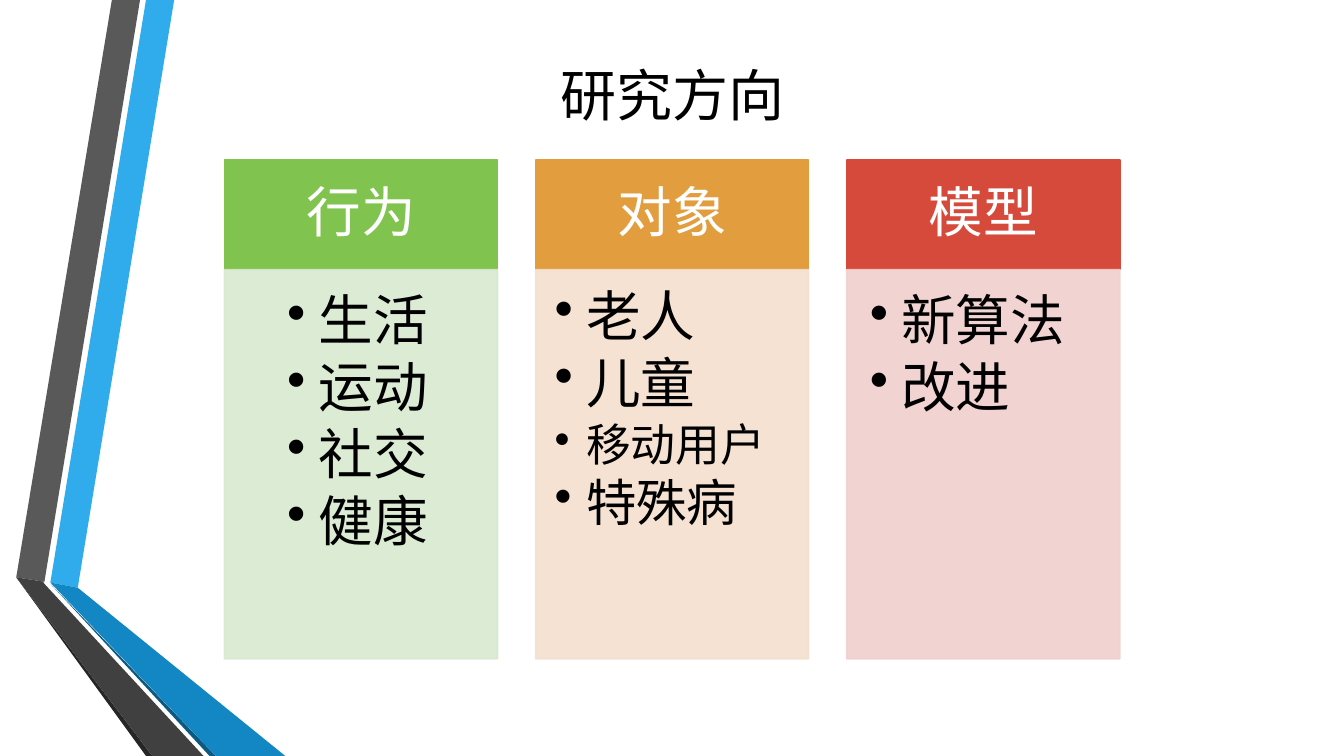
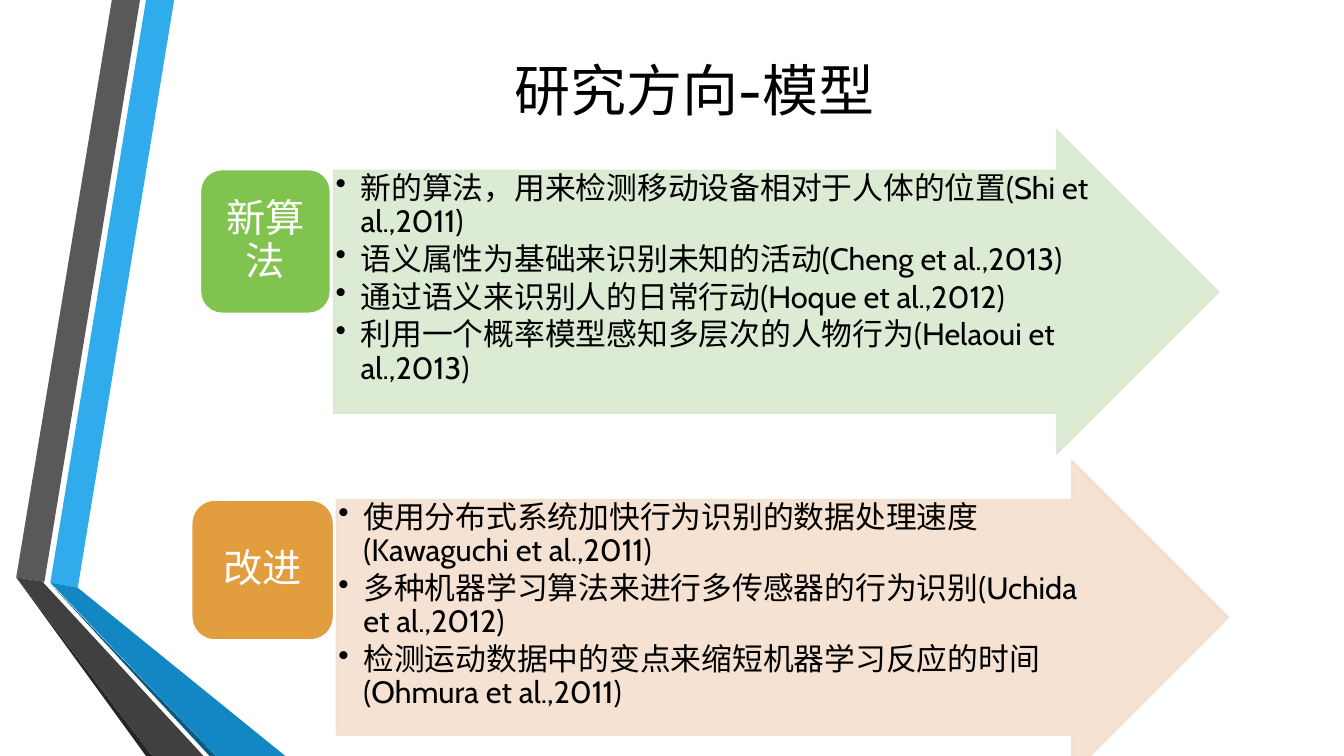
from dataclasses import dataclass

from lxml import etree
from pptx import Presentation
from pptx.dml.color import RGBColor
from pptx.enum.shapes import MSO_SHAPE
from pptx.enum.text import MSO_ANCHOR, PP_ALIGN
from pptx.oxml.ns import qn
from pptx.presentation import Presentation as Deck
from pptx.shapes.autoshape import Shape
from pptx.slide import Slide, SlideLayout
from pptx.util import Cm, Pt

RECTANGLE = MSO_SHAPE.RECTANGLE
ROUNDED = MSO_SHAPE.ROUNDED_RECTANGLE
ARROW = MSO_SHAPE.RIGHT_ARROW
CENTER, LEFT = PP_ALIGN.CENTER, PP_ALIGN.LEFT
MIDDLE, TOP = MSO_ANCHOR.MIDDLE, MSO_ANCHOR.TOP

FONT = "Cabin"
BLACK, WHITE = "000000", "FFFFFF"
GREEN, ORANGE, RED = "80C34F", "E29D3E", "D64A3B"
PALE_GREEN, PALE_ORANGE, PALE_RED = "D8E9D0", "F4DFCE", "F0D0CE"
PALE_OPACITY = 90
TITLE_ONLY = 5

COLUMN_LEFT, COLUMN_PITCH, COLUMN_WIDTH = 5.66, 7.84, 6.88
HEADER_TOP, HEADER_HEIGHT = 4.04, 2.74
BODY_TOP, BODY_HEIGHT = 6.8, 9.8
WIDE_INSETS = (0.58, 0.58, 0.76, 0.86)
NARROW_INSETS = (0.48, 0.48, 0.63, 0.71)

Box = tuple[float, float, float, float]


@dataclass(frozen=True)
class Band:
    """A ribbon polygon with corners in centimetres."""

    color: str
    corners: tuple[tuple[float, float], ...]


@dataclass(frozen=True)
class Line:
    """One paragraph of text and its size in points."""

    text: str
    size: float


@dataclass(frozen=True)
class TextStyle:
    """How the text of a shape is set, with lengths in centimetres."""

    color: str
    insets: Box
    alignment: PP_ALIGN = CENTER
    anchor: MSO_ANCHOR = MIDDLE
    bullet_indent: float = 0


@dataclass(frozen=True)
class Column:
    """A headed column of bullets."""

    heading: str
    color: str
    pale: str
    lines: tuple[Line, ...]
    alignment: PP_ALIGN = LEFT
    insets: Box = WIDE_INSETS


@dataclass(frozen=True)
class Topic:
    """A rounded label followed by an arrow of bullets."""

    label: str
    color: str
    pale: str
    label_box: Box
    arrow_box: Box
    bullets: tuple[str, ...]


BANDS = (
    Band("30ACEC", ((1.27, 14.68), (1.96, 14.81), (4.39, 0), (3.68, 0))),
    Band("595959", ((3.53, 0), (2.82, 0), (0.41, 14.55), (1.12, 14.66))),
    Band("262626", ((0.41, 14.55), (3.68, 19.05), (3.84, 19.05))),
    Band("0C5A82", ((1.27, 14.71), (5.28, 19.05), (5.44, 19.05))),
    Band("1287C3", ((1.27, 14.68), (5.44, 19.05), (7.19, 19.05), (1.96, 14.81))),
    Band("404040", ((5.13, 19.05), (1.09, 14.68), (1.12, 14.66), (0.41, 14.55),
                    (3.84, 19.05))),
)

COLUMNS = (
    Column("行为", GREEN, PALE_GREEN,
           (Line("生活", 39), Line("运动", 39), Line("社交", 39), Line("健康", 39)), CENTER),
    Column("对象", ORANGE, PALE_ORANGE,
           (Line("老人", 39), Line("儿童", 39), Line("移动用户", 32), Line("特殊病", 36)),
           insets=NARROW_INSETS),
    Column("模型", RED, PALE_RED, (Line("新算法", 39), Line("改进", 39))),
)

TOPICS = (
    Topic("新算法", GREEN, PALE_GREEN, (5.05, 4.27, 3.28, 3.63), (8.41, 3.28, 22.3, 8.15), (
        "新的算法，用来检测移动设备相对于人体的位置(Shi et al.,2011)",
        "语义属性为基础来识别未知的活动(Cheng et al.,2013)",
        "通过语义来识别人的日常行动(Hoque et al.,2012)",
        "利用一个概率模型感知多层次的人物行为(Helaoui et al.,2013)",
    )),
    Topic("改进", ORANGE, PALE_ORANGE, (4.83, 12.6, 3.58, 3.53), (8.48, 11.61, 22.48, 7.9), (
        "使用分布式系统加快行为识别的数据处理速度(Kawaguchi et al.,2011)",
        "多种机器学习算法来进行多传感器的行为识别(Uchida et al.,2012)",
        "检测运动数据中的变点来缩短机器学习反应的时间(Ohmura et al.,2011)",
    )),
)

HEADER_STYLE = TextStyle(WHITE, (0.76, 0.43, 0.76, 0.43))
LABEL_STYLE = TextStyle(WHITE, (0.3, 0.15, 0.3, 0.15))
ARROW_STYLE = TextStyle(BLACK, (0.05, 0.05, 0.05, 0.05), LEFT, TOP, 0.63)


def rgb(color: str) -> RGBColor:
    """Turn a hex string into a colour."""
    return RGBColor.from_string(color)


def paint(shape: Shape, fill: str, line: str | None = None, opacity: int = 100) -> None:
    """Give a shape its fill, outline and opacity."""
    shape.shadow.inherit = False
    shape.fill.solid()
    shape.fill.fore_color.rgb = rgb(fill)
    if line is None:
        shape.line.fill.background()
    else:
        shape.line.color.rgb = rgb(line)
        shape.line.width = Pt(1.25)
    if opacity < 100:
        for color in shape.element.spPr.iter(qn("a:srgbClr")):
            etree.SubElement(color, qn("a:alpha")).set("val", str(opacity * 1000))


def write(shape: Shape, lines: tuple[Line, ...], style: TextStyle) -> None:
    """Fill a shape with styled paragraphs."""
    frame = shape.text_frame
    frame.word_wrap = True
    frame.vertical_anchor = style.anchor
    frame.margin_left, frame.margin_top, frame.margin_right, frame.margin_bottom = map(
        Cm, style.insets)
    frame.text = "\n".join(line.text for line in lines)
    for paragraph, line in zip(frame.paragraphs, lines):
        paragraph.alignment = style.alignment
        paragraph.line_spacing = 0.9
        paragraph.font.name = FONT
        paragraph.font.size = Pt(line.size)
        paragraph.font.color.rgb = rgb(style.color)
        if style.bullet_indent:
            paragraph.space_after = Pt(line.size * 0.15)
            properties = paragraph._p.get_or_add_pPr()
            properties.set("marL", str(Cm(style.bullet_indent)))
            properties.set("indent", str(-Cm(style.bullet_indent)))
            bullet = etree.Element(qn("a:buChar"), char="•")
            properties.insert_element_before(bullet, "a:tabLst", "a:defRPr", "a:extLst")


def add_block(slide: Slide, kind: MSO_SHAPE, box: Box, lines: tuple[Line, ...],
              style: TextStyle, fill: str, line: str, opacity: int = 100) -> Shape:
    """Add a painted shape with text."""
    shape = slide.shapes.add_shape(kind, *map(Cm, box))
    paint(shape, fill, line, opacity)
    write(shape, lines, style)
    return shape


def add_titled_slide(presentation: Deck, title: str, left: float, top: float) -> Slide:
    """Add a slide with its title in place."""
    slide = presentation.slides.add_slide(presentation.slide_layouts[TITLE_ONLY])
    placeholder = slide.shapes.title
    placeholder.left, placeholder.top = Cm(left), Cm(top)
    placeholder.width, placeholder.height = Cm(27.84), Cm(2.95)
    placeholder.text_frame.text = title
    placeholder.text_frame.vertical_anchor = MIDDLE
    paragraph = placeholder.text_frame.paragraphs[0]
    paragraph.alignment = CENTER
    paragraph.font.name = FONT
    paragraph.font.size = Pt(40)
    paragraph.font.color.rgb = rgb(BLACK)
    return slide


def add_bands(slide: Slide, layout: SlideLayout) -> None:
    """Draw the ribbons and move them to the shared layout."""
    for number, band in enumerate(BANDS, start=20):
        start, *others = [(Cm(x), Cm(y)) for x, y in band.corners]
        builder = slide.shapes.build_freeform(*start)
        builder.add_line_segments(others, close=True)
        shape = builder.convert_to_shape()
        paint(shape, band.color)
        shape.element.nvSpPr.cNvPr.set("id", str(number))
        layout.shapes.element.append(shape.element)


def add_column(slide: Slide, index: int, column: Column) -> None:
    """Draw one heading with its bullets below."""
    left = COLUMN_LEFT + index * COLUMN_PITCH
    add_block(slide, RECTANGLE, (left, HEADER_TOP, COLUMN_WIDTH, HEADER_HEIGHT),
              (Line(column.heading, 39),), HEADER_STYLE, column.color, column.color)
    add_block(slide, RECTANGLE, (left, BODY_TOP, COLUMN_WIDTH, BODY_HEIGHT), column.lines,
              TextStyle(BLACK, column.insets, column.alignment, TOP, 0.79),
              column.pale, column.pale, PALE_OPACITY)


def add_topic(slide: Slide, topic: Topic) -> None:
    """Draw one arrow of bullets with its label."""
    lines = tuple(Line(bullet, 22) for bullet in topic.bullets)
    arrow = add_block(slide, ARROW, topic.arrow_box, lines, ARROW_STYLE,
                      topic.pale, topic.pale, PALE_OPACITY)
    arrow.adjustments[0] = 0.75
    arrow.adjustments[1] = 0.5
    add_block(slide, ROUNDED, topic.label_box, (Line(topic.label, 28),), LABEL_STYLE,
              topic.color, WHITE)


def main() -> None:
    """Build and save the presentation."""
    presentation = Presentation()
    presentation.slide_width, presentation.slide_height = Cm(33.87), Cm(19.05)

    directions = add_titled_slide(presentation, "研究方向", 3.02, 0.89)
    add_bands(directions, directions.slide_layout)
    for index, column in enumerate(COLUMNS):
        add_column(directions, index, column)

    models = add_titled_slide(presentation, "研究方向-模型", 3.58, 0.76)
    for topic in TOPICS:
        add_topic(models, topic)

    presentation.save("out.pptx")


if __name__ == "__main__":
    main()
